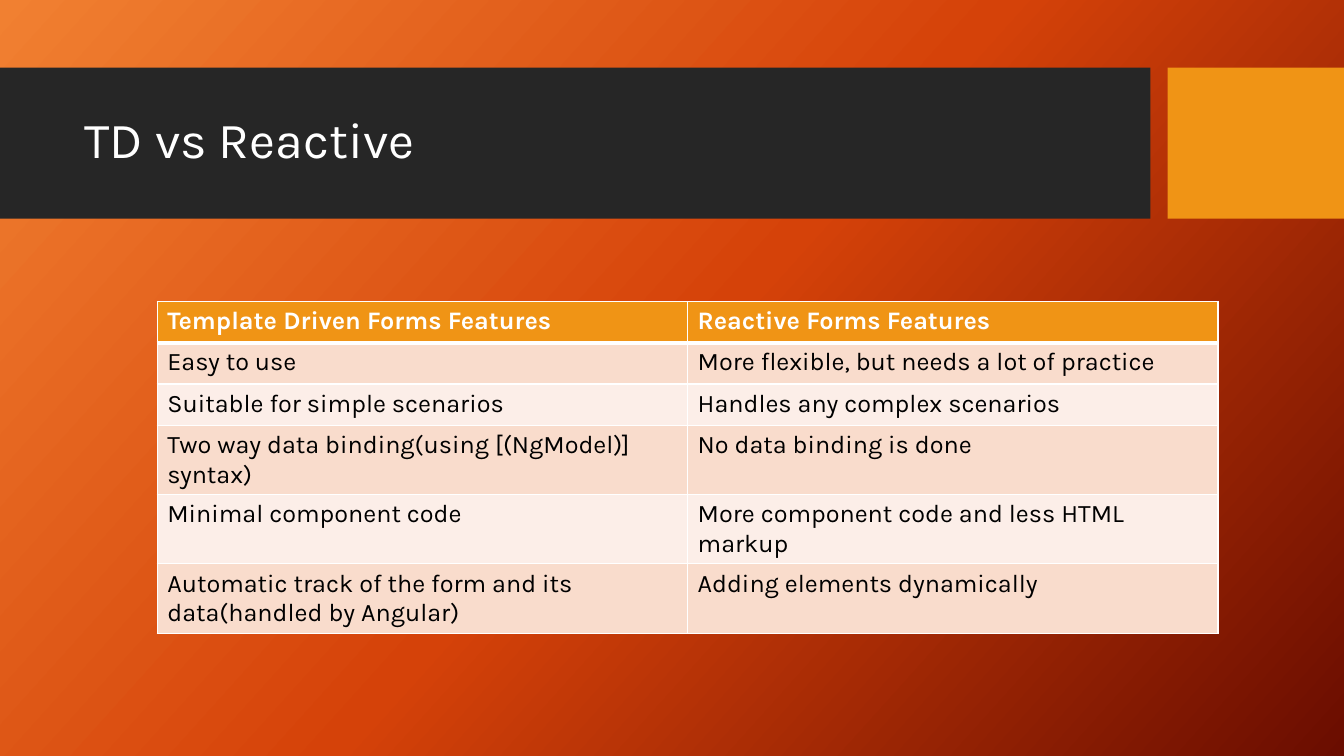
from copy import deepcopy
from dataclasses import dataclass

from pptx import Presentation
from pptx.dml.color import RGBColor
from pptx.enum.shapes import MSO_SHAPE
from pptx.enum.text import MSO_ANCHOR, MSO_AUTO_SIZE, PP_ALIGN
from pptx.oxml import parse_xml
from pptx.oxml.ns import nsdecls, qn
from pptx.slide import Slide
from pptx.table import _Cell as Cell
from pptx.text.text import _Paragraph as Paragraph
from pptx.util import Inches, Pt

WHITE = RGBColor(0xFF, 0xFF, 0xFF)
BLACK = RGBColor(0x00, 0x00, 0x00)
CHARCOAL = RGBColor(0x26, 0x26, 0x26)
AMBER = RGBColor(0xF0, 0x94, 0x15)
PEACH = RGBColor(0xF9, 0xDC, 0xCC)
PALE_PEACH = RGBColor(0xFC, 0xEE, 0xE8)
GLOW = RGBColor(0xF1, 0x80, 0x31)
EMBER = RGBColor(0xD5, 0x42, 0x09)
MAROON = RGBColor(0x6A, 0x0D, 0x00)
FONT = "Karla"


@dataclass(frozen=True)
class Band:
    left: float
    width: float
    color: RGBColor


@dataclass(frozen=True)
class Comparison:
    template_driven: str
    reactive: str


BANDS = [Band(0, 11.41, CHARCOAL), Band(11.58, 1.75, AMBER)]
COMPARISONS = [
    Comparison("Template Driven Forms Features", "Reactive Forms Features"),
    Comparison("Easy to use", "More flexible, but needs a lot of practice"),
    Comparison("Suitable for simple scenarios", "Handles any complex scenarios"),
    Comparison("Two way data binding(using [(NgModel)] syntax)", "No data binding is done"),
    Comparison("Minimal component code", "More component code and less HTML markup"),
    Comparison(
        "Automatic track of the form and its data(handled by Angular)",
        "Adding elements dynamically",
    ),
]


def paint_background(slide: Slide) -> None:
    fill = slide.background.fill
    fill.gradient()
    fill.gradient_angle = 360 - 42
    stop_list = next(slide.element.iter(qn("a:gsLst")))
    stop_list.append(deepcopy(stop_list[0]))
    for stop, position, color in zip(fill.gradient_stops, (0, 0.5, 1), (GLOW, EMBER, MAROON)):
        stop.position = position
        stop.color.rgb = color


def draw_band(slide: Slide, band: Band) -> None:
    bar = slide.shapes.add_shape(
        MSO_SHAPE.RECTANGLE, Inches(band.left), Inches(0.67), Inches(band.width), Inches(1.5)
    )
    bar.shadow.inherit = False
    bar.fill.solid()
    bar.fill.fore_color.rgb = band.color
    bar.line.fill.background()


def format_runs(paragraph: Paragraph, size: int, color: RGBColor, bold: bool) -> None:
    for run in paragraph.runs:
        run.font.name = FONT
        run.font.size = Pt(size)
        run.font.bold = bold
        run.font.color.rgb = color


def write_title(slide: Slide, heading: str) -> None:
    title = slide.shapes.title
    title.left, title.top = Inches(0.74), Inches(0.82)
    title.width, title.height = Inches(10.51), Inches(1.18)
    frame = title.text_frame
    frame.text = heading
    frame.word_wrap = True
    frame.auto_size = MSO_AUTO_SIZE.NONE
    frame.vertical_anchor = MSO_ANCHOR.MIDDLE
    paragraph = frame.paragraphs[0]
    paragraph.alignment = PP_ALIGN.LEFT
    paragraph.line_spacing = 0.9
    format_runs(paragraph, 36, WHITE, False)
    slide.shapes.element.append(title.element)


def add_border(cell: Cell, side: str, points: int) -> None:
    cell._tc.get_or_add_tcPr().append(
        parse_xml(
            f'<a:ln{side} {nsdecls("a")} w="{Pt(points)}">'
            f'<a:solidFill><a:srgbClr val="{WHITE}"/></a:solidFill></a:ln{side}>'
        )
    )


def fill_cell(cell: Cell, text: str, row: int) -> None:
    is_header = row == 0
    for side in "LRTB":
        under_header = (row, side) in ((0, "B"), (1, "T"))
        add_border(cell, side, 3 if under_header else 1)
    cell.fill.solid()
    cell.fill.fore_color.rgb = AMBER if is_header else PEACH if row % 2 else PALE_PEACH
    cell.text_frame.text = text
    format_runs(cell.text_frame.paragraphs[0], 18, WHITE if is_header else BLACK, is_header)


def draw_comparison(slide: Slide, comparisons: list[Comparison]) -> None:
    row_height = Inches(0.41)
    table = slide.shapes.add_table(
        len(comparisons), 2, Inches(1.56), Inches(2.99),
        Inches(10.52), row_height * len(comparisons),
    ).table
    for row, comparison in enumerate(comparisons):
        table.rows[row].height = row_height
        fill_cell(table.cell(row, 0), comparison.template_driven, row)
        fill_cell(table.cell(row, 1), comparison.reactive, row)


def main() -> None:
    deck = Presentation()
    deck.slide_width, deck.slide_height = Inches(13.33), Inches(7.5)
    slide = deck.slides.add_slide(deck.slide_layouts.get_by_name("Title Only"))
    paint_background(slide)
    for band in BANDS:
        draw_band(slide, band)
    write_title(slide, "TD vs Reactive")
    draw_comparison(slide, COMPARISONS)
    deck.save("out.pptx")


if __name__ == "__main__":
    main()
